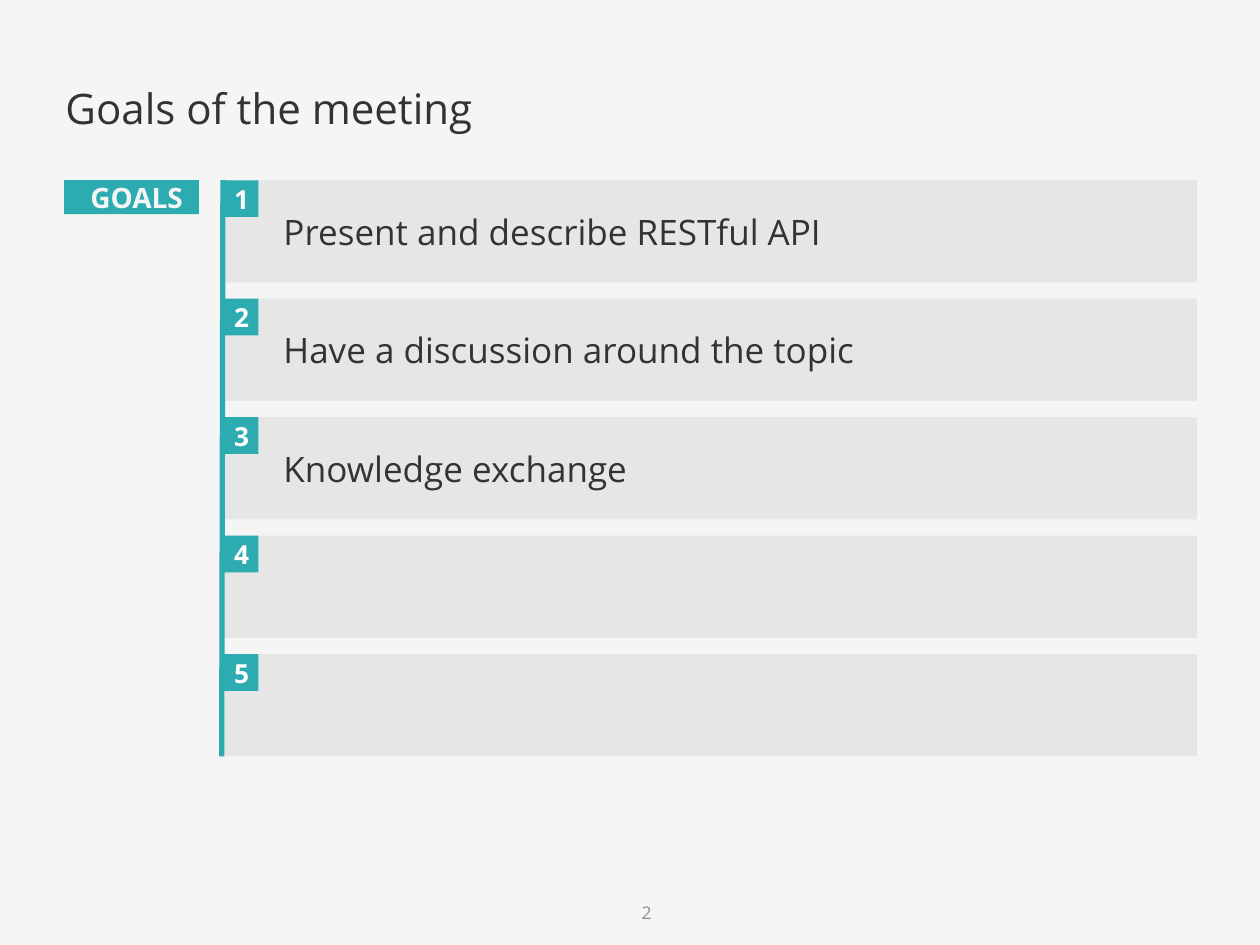
"""Build the slide that lists the goals of the meeting."""
from dataclasses import dataclass

from lxml.etree import SubElement
from pptx import Presentation
from pptx.dml.color import RGBColor as Rgb
from pptx.enum.shapes import MSO_CONNECTOR as Link, MSO_SHAPE as Kind
from pptx.enum.text import MSO_ANCHOR as Anchor, MSO_AUTO_SIZE as Fit, PP_ALIGN as Align
from pptx.oxml.ns import qn
from pptx.shapes.base import BaseShape as Shape
from pptx.slide import Slide
from pptx.util import Pt

FONT = "Open Sans"
HUES = {"back": "F5F5F5", "teal": "2CACB1", "bar": "E7E6E6",
        "ink": "333333", "white": "FFFFFF", "gray": "909090"}
GOALS = ["Present and describe RESTful API", "Have a discussion around the topic",
         "Knowledge exchange", "", ""]
LEFT, TOP, STEP = 126.7, 103, 67.7
WIDE, HIGH, SIDE = 557.3, 58.4, 21


@dataclass(frozen=True)
class Box:
    x: float
    y: float
    w: float
    h: float


@dataclass(frozen=True)
class Style:
    size: float
    hue: str
    bold: bool = False
    align: Align = Align.LEFT
    anchor: Anchor = Anchor.MIDDLE
    wrap: bool = True
    pad: tuple[float, float, float, float] = (7.2, 3.6, 7.2, 3.6)


HEAD = Style(24, "ink", anchor=Anchor.TOP)
GOAL = Style(20, "ink", wrap=False, pad=(35.3, 3.6, 7.2, 3.6))
BADGE = Style(15, "white", bold=True, wrap=False)
LABEL = Style(16, "back", bold=True, align=Align.CENTER, pad=(5.8, 0, 0, 0))
PAGE = Style(10, "gray", align=Align.RIGHT)


def tint(name: str) -> Rgb:
    """Return the named colour."""
    return Rgb.from_string(HUES[name])


def place(box: Box) -> tuple[Pt, Pt, Pt, Pt]:
    """Return the box as lengths."""
    return Pt(box.x), Pt(box.y), Pt(box.w), Pt(box.h)


def write(shape: Shape, text: str, style: Style) -> None:
    """Put one styled run into the shape."""
    frame = shape.text_frame
    frame.auto_size = Fit.NONE
    frame.word_wrap = style.wrap
    frame.vertical_anchor = style.anchor
    (frame.margin_left, frame.margin_top,
     frame.margin_right, frame.margin_bottom) = map(Pt, style.pad)
    para = frame.paragraphs[0]
    para.alignment = style.align
    run = para.add_run()
    run.text = text
    run.font.name = FONT
    run.font.size = Pt(style.size)
    run.font.bold = style.bold
    run.font.color.rgb = tint(style.hue)


def block(slide: Slide, box: Box, hue: str, text: str, style: Style) -> None:
    """Draw a flat rectangle with optional text."""
    shape = slide.shapes.add_shape(Kind.RECTANGLE, *place(box))
    shape.shadow.inherit = False
    shape.fill.solid()
    shape.fill.fore_color.rgb = tint(hue)
    shape.line.fill.background()
    if text:
        write(shape, text, style)


def spine(slide: Slide) -> None:
    """Draw the line down the left edge of the rows."""
    end = TOP + STEP * (len(GOALS) - 1) + HIGH
    line = slide.shapes.add_connector(
        Link.STRAIGHT, Pt(LEFT + 0.7), Pt(TOP), Pt(LEFT), Pt(end))
    line.line.color.rgb = tint("teal")
    line.line.width = Pt(3)
    SubElement(line._element.spPr, qn("a:effectLst"))


def main() -> None:
    """Build and save the deck."""
    deck = Presentation()
    deck.slide_width, deck.slide_height = Pt(720), Pt(540)
    slide = deck.slides.add_slide(deck.slide_layouts[5])
    slide.background.fill.solid()
    slide.background.fill.fore_color.rgb = tint("back")

    title = slide.shapes.title
    title.left, title.top, title.width, title.height = place(Box(30.2, 43.5, 660, 30.2))
    write(title, "Goals of the meeting", HEAD)

    block(slide, Box(36.7, TOP, 77, 19.4), "teal", "GOALS", LABEL)
    for row, goal in enumerate(GOALS):
        y = TOP + row * STEP
        block(slide, Box(LEFT, y, WIDE, HIGH), "bar", goal, GOAL)
        block(slide, Box(LEFT, y, SIDE, SIDE), "teal", str(row + 1), BADGE)
    spine(slide)

    page = slide.shapes.add_textbox(*place(Box(340.6, 509.8, 38.9, 23)))
    write(page, "2", PAGE)
    deck.save("out.pptx")


if __name__ == "__main__":
    main()
